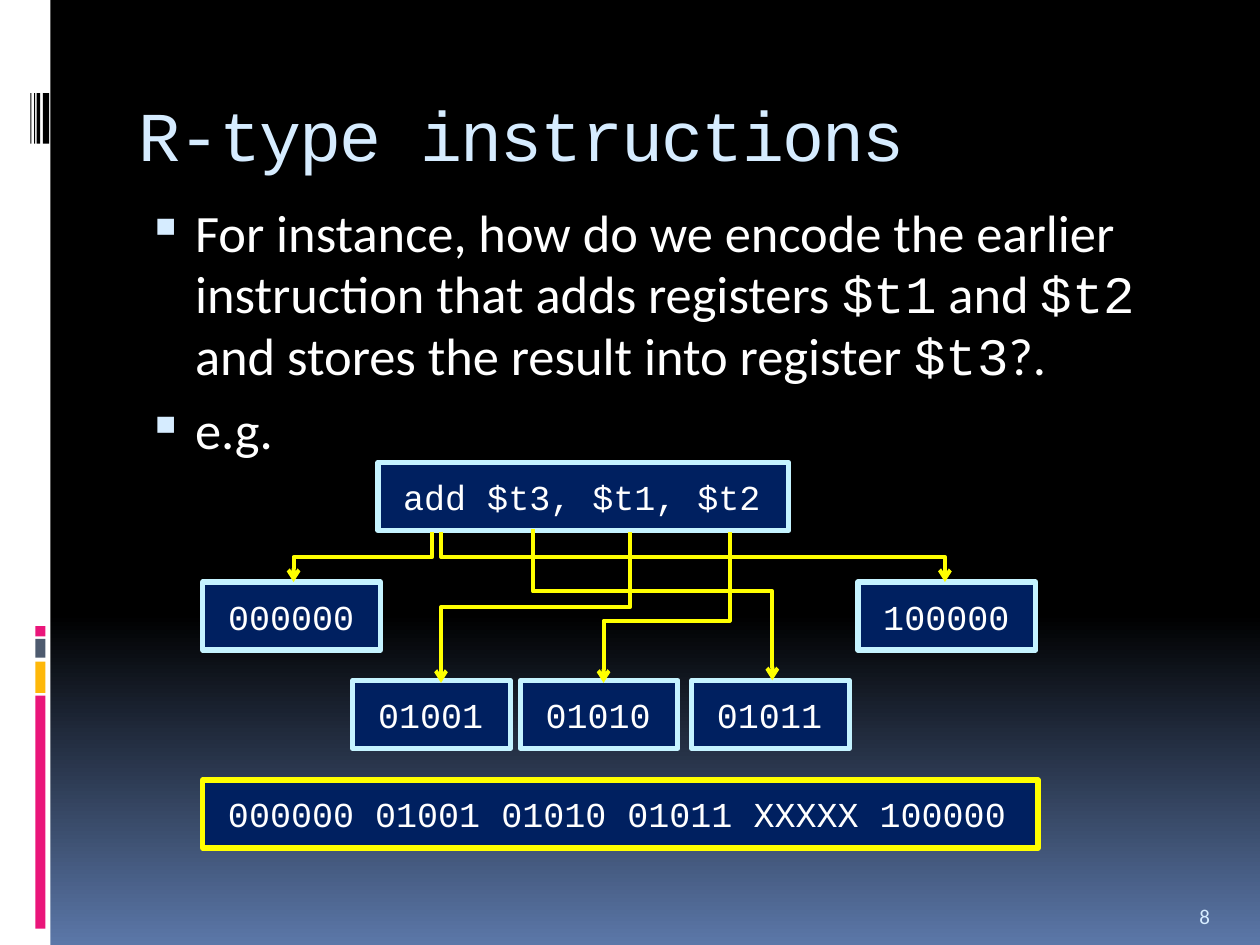
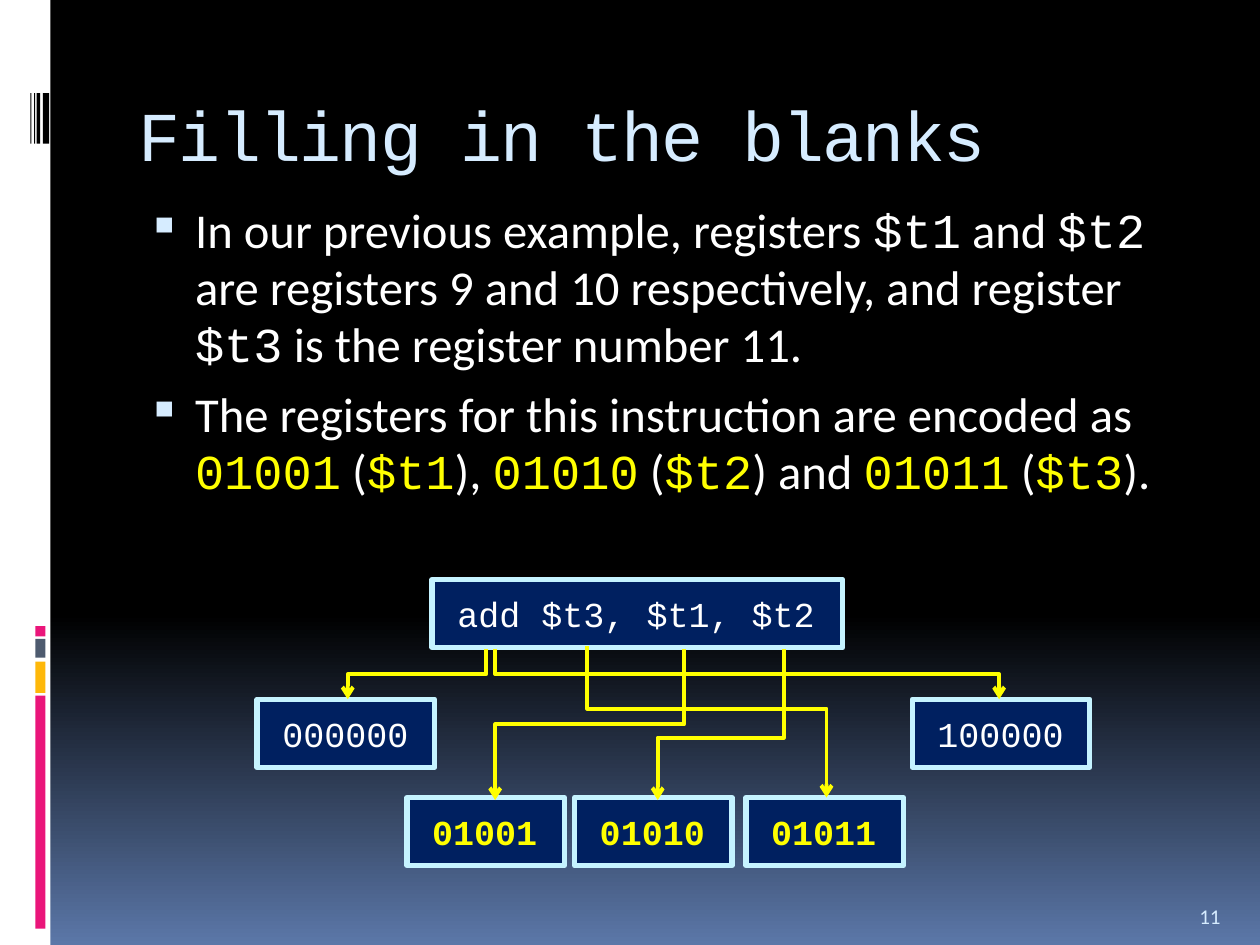
from copy import deepcopy

from lxml import etree
from pptx import Presentation
from pptx.dml.color import RGBColor
from pptx.enum.shapes import MSO_CONNECTOR, MSO_SHAPE
from pptx.enum.text import MSO_ANCHOR, MSO_AUTO_SIZE, PP_ALIGN
from pptx.oxml.ns import qn
from pptx.util import Pt

PX = 9144  # 100 px to the inch

WHITE = RGBColor(0xFF, 0xFF, 0xFF)
BLACK = RGBColor(0x00, 0x00, 0x00)
DUSK_BLUE = RGBColor(0x5B, 0x77, 0xA8)
PALE_BLUE = RGBColor(0xD6, 0xEC, 0xFF)
BOX_BLUE = RGBColor(0x00, 0x20, 0x60)
BOX_EDGE = RGBColor(0xC5, 0xF3, 0xFF)
YELLOW = RGBColor(0xFF, 0xFF, 0x00)
PINK = RGBColor(0xEA, 0x15, 0x7A)
AMBER = RGBColor(0xFE, 0xB8, 0x0A)
SLATE = RGBColor(0x4E, 0x5B, 0x6F)

TEXT_FONT = "Calibri"
CODE_FONT = "Courier New"
RECTANGLE = MSO_SHAPE.RECTANGLE
ELBOW = MSO_CONNECTOR.ELBOW
MIDDLE = MSO_ANCHOR.MIDDLE
BOTTOM = MSO_ANCHOR.BOTTOM
LEFT = PP_ALIGN.LEFT
NO_AUTOFIT = MSO_AUTO_SIZE.NONE

# Left band: left, top, width, height, colour
BAND_PARTS = [
    (0, 0, 40, 750, WHITE),
    (28, 552, 8, 185, PINK),
    (28, 525, 8, 25, AMBER),
    (28, 507, 8, 15, SLATE),
    (28, 497, 8, 8, PINK),
    (34, 74, 5, 40, BLACK),
    (29, 74, 3, 40, BLACK),
    (27, 74, 1, 40, BLACK),
    (24, 74, 1, 40, BLACK),
]

# Diagram, measured from the corner of the instruction box
BOX_HEIGHT = 54
FIXED_BOXES = [
    ("add $t3, $t1, $t2", 0, 0, 326),
    ("000000", -139, 95, 141),
    ("100000", 381, 95, 141),
]
REGISTER_BOXES = [
    ("01001", -20, 173, 125),
    ("01010", 113, 173, 125),
    ("01011", 249, 173, 125),
]
# Start x, start y, end x, end y, place of the bend in thousandths
ARROWS = [
    (43, 55, -67, 95, 500),
    (50, 55, 450, 95, 500),
    (200, 55, 50, 175, 500),
    (123, 53, 313, 173, 412),
    (279, 55, 179, 175, 588),
]

# Code stands between bars
SLIDES = [
    {
        "title": "R-type instructions",
        "number": "8",
        "size": 30,
        "bullets": [
            "For instance, how do we encode the earlier instruction that adds registers "
            "|$t1| and |$t2| and stores the result into register |$t3|?.",
            "e.g.",
        ],
        "code_colors": [WHITE, WHITE],
        "diagram": (300, 367),
        "register_color": WHITE,
        "result": "000000 01001 01010 01011 XXXXX 100000",
    },
    {
        "title": "Filling in the blanks",
        "number": "11",
        "size": 27.8,
        "bullets": [
            "In our previous example, registers |$t1| and |$t2| are registers 9 and 10 "
            "respectively, and register |$t3| is the register number 11.",
            "The registers for this instruction are encoded as |01001| (|$t1|), "
            "|01010| (|$t2|) and |01011| (|$t3|).",
        ],
        "code_colors": [WHITE, YELLOW],
        "diagram": (343, 460),
        "register_color": YELLOW,
        "result": None,
    },
]


def set_font(font, name, size, color):
    font.name = name
    font.size = Pt(size)
    font.color.rgb = color


def add_code_box(slide, text, left, top, width, edge=BOX_EDGE, color=WHITE):
    box = slide.shapes.add_shape(
        RECTANGLE, left * PX, top * PX, width * PX, BOX_HEIGHT * PX)
    box.shadow.inherit = False
    box.fill.solid()
    box.fill.fore_color.rgb = BOX_BLUE
    box.line.color.rgb = edge
    box.line.width = Pt(3)
    frame = box.text_frame
    frame.word_wrap = False
    frame.vertical_anchor = MIDDLE
    frame.margin_left = frame.margin_right = 20 * PX
    frame.margin_top = frame.margin_bottom = 10 * PX
    paragraph = frame.paragraphs[0]
    paragraph.text = text
    paragraph.alignment = LEFT
    font = paragraph.runs[0].font
    set_font(font, CODE_FONT, 20, color)
    font.bold = color == YELLOW


presentation = Presentation()
presentation.slide_width = 1000 * PX
presentation.slide_height = 750 * PX

# Shared background: black down to 65 %, then blue
master = presentation.slide_master
background = master.background.fill
background.gradient()
background.gradient_angle = 270
first_stop, last_stop = background.gradient_stops
first_stop.color.rgb = BLACK
first_stop.position = 0
last_stop.color.rgb = DUSK_BLUE
last_stop.position = 1
stop_list = master._element.find(".//" + qn("a:gsLst"))
middle_stop = deepcopy(stop_list[0])
middle_stop.set("pos", "65000")
stop_list.insert(1, middle_stop)

for content in SLIDES:
    slide = presentation.slides.add_slide(presentation.slide_layouts[5])

    # Left band
    for left, top, width, height, color in BAND_PARTS:
        part = slide.shapes.add_shape(
            RECTANGLE, left * PX, top * PX, width * PX, height * PX)
        part.shadow.inherit = False
        part.fill.solid()
        part.fill.fore_color.rgb = color
        part.line.fill.background()

    # Title
    title = slide.shapes.title
    title.left, title.top, title.width, title.height = (
        100 * PX, 56 * PX, 850 * PX, 100 * PX)
    frame = title.text_frame
    frame.text = content["title"]
    frame.auto_size = NO_AUTOFIT
    frame.vertical_anchor = MIDDLE
    paragraph = frame.paragraphs[0]
    paragraph.alignment = LEFT
    font = paragraph.runs[0].font
    set_font(font, CODE_FONT, 40, PALE_BLUE)
    font._element.set("spc", "-100")

    # Bullets
    body = slide.shapes.add_textbox(100 * PX, 156 * PX, 857 * PX, 258 * PX)
    frame = body.text_frame
    frame.word_wrap = True
    for index, text in enumerate(content["bullets"]):
        paragraph = frame.add_paragraph() if index else frame.paragraphs[0]
        properties = paragraph._p.get_or_add_pPr()
        properties.set("marL", str(45 * PX))
        properties.set("indent", str(-38 * PX))
        bullet_color = etree.SubElement(properties, qn("a:buClr"))
        etree.SubElement(bullet_color, qn("a:srgbClr"), val=str(PALE_BLUE))
        etree.SubElement(properties, qn("a:buSzPct"), val="95000")
        etree.SubElement(properties, qn("a:buChar"), char="▪")
        paragraph.line_spacing = 0.98
        if index:
            paragraph.space_before = Pt(7)
        for position, piece in enumerate(text.split("|")):
            run = paragraph.add_run()
            run.text = piece
            if position % 2:
                set_font(run.font, CODE_FONT, content["size"],
                         content["code_colors"][index])
            else:
                set_font(run.font, TEXT_FONT, content["size"], WHITE)

    # Instruction and its encoded fields
    origin_x, origin_y = content["diagram"]
    for text, x, y, width in FIXED_BOXES:
        add_code_box(slide, text, origin_x + x, origin_y + y, width)
    for text, x, y, width in REGISTER_BOXES:
        add_code_box(slide, text, origin_x + x, origin_y + y, width,
                     color=content["register_color"])
    if content["result"]:
        add_code_box(slide, content["result"], 161, 619, 663, edge=YELLOW)

    # Arrows: an elbow leaves sideways, so each is turned to leave downwards
    for start_x, start_y, end_x, end_y, bend in ARROWS:
        center_x = (origin_x + (start_x + end_x) / 2) * PX
        center_y = (origin_y + (start_y + end_y) / 2) * PX
        half_drop = (end_y - start_y) * PX / 2
        half_run = abs(end_x - start_x) * PX / 2
        goes_right = end_x > start_x
        if goes_right:
            half_drop = -half_drop
        arrow = slide.shapes.add_connector(
            ELBOW,
            int(center_x - half_drop), int(center_y - half_run),
            int(center_x + half_drop), int(center_y + half_run))
        arrow.line.color.rgb = YELLOW
        arrow.line.width = Pt(2.25)
        properties = arrow._element.spPr
        turn = 270 if goes_right else 90
        properties.find(qn("a:xfrm")).set("rot", str(turn * 60000))
        adjustments = properties.find(qn("a:prstGeom")).find(qn("a:avLst"))
        etree.SubElement(adjustments, qn("a:gd"), name="adj1", fmla=f"val {bend * 100}")
        etree.SubElement(properties.find(qn("a:ln")), qn("a:tailEnd"), type="arrow")
        etree.SubElement(properties, qn("a:effectLst"))

    # Slide number
    number = slide.shapes.add_textbox(942 * PX, 702 * PX, 50 * PX, 40 * PX)
    frame = number.text_frame
    frame.word_wrap = True
    frame.vertical_anchor = BOTTOM
    frame.text = content["number"]
    set_font(frame.paragraphs[0].runs[0].font, TEXT_FONT, 12, PALE_BLUE)

presentation.save("out.pptx")
